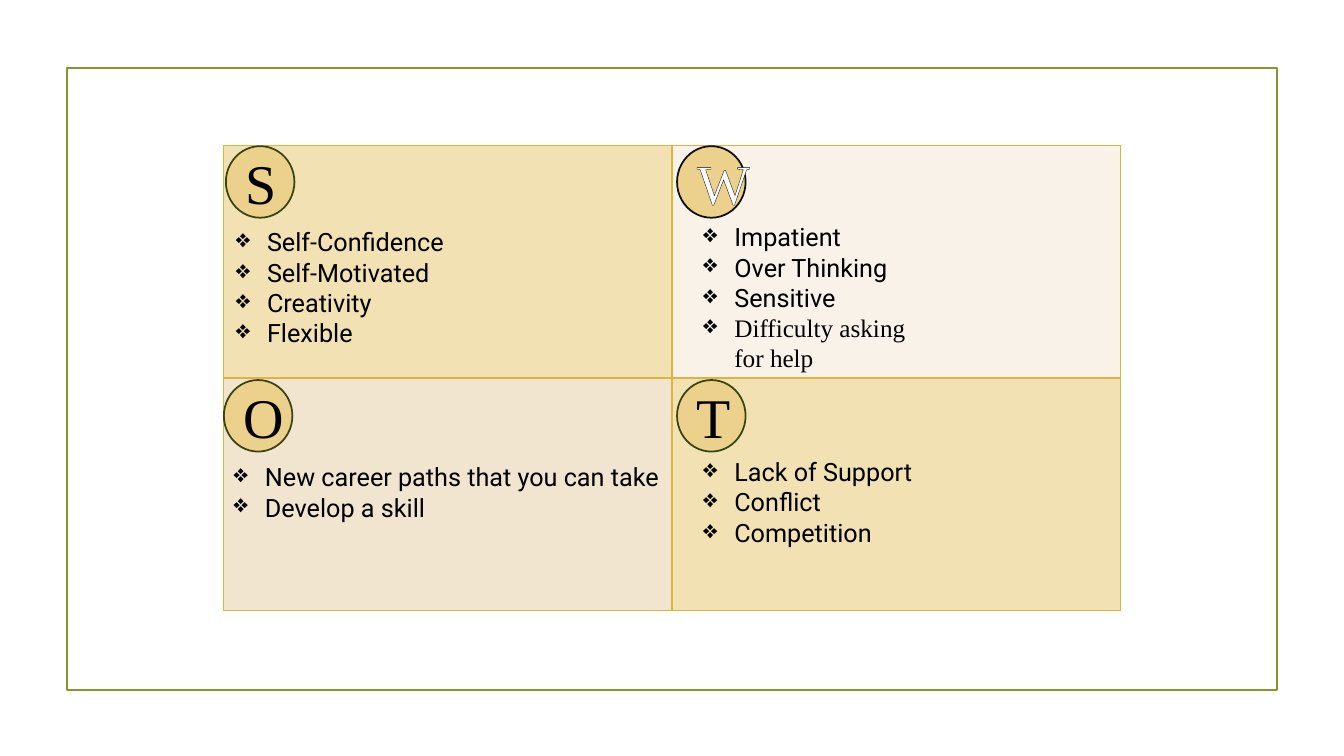
"""Builds a personal SWOT slide: a two by two table with lettered badges and bullet lists."""
from dataclasses import dataclass

from lxml.etree import SubElement
from pptx import Presentation
from pptx.dml.color import RGBColor
from pptx.enum.shapes import MSO_SHAPE as Shape
from pptx.enum.text import MSO_ANCHOR as Anchor, MSO_AUTO_SIZE as AutoSize, PP_ALIGN as Align
from pptx.oxml import parse_xml
from pptx.oxml.ns import nsdecls, qn
from pptx.util import Emu, Inches, Pt


@dataclass(frozen=True)
class Theme:
    frame: str = "83992A"
    border: str = "DEB340"
    badge: str = "EBD18C"
    badge_line: str = "394312"
    ink: str = "0D0D0D"
    black: str = "000000"
    white: str = "FFFFFF"
    gold: str = "F2E1B3"
    cream: str = "F9F2E8"
    sand: str = "F2E5CF"
    sans: str = "Roboto"
    serif: str = "Times New Roman"
    letter_size: int = 40
    list_size: int = 18
    line_width: float = 1.25
    border_width: int = 1


@dataclass(frozen=True)
class Grid:
    left: float = 2.22
    top: float = 1.44
    column_width: float = 4.445
    row_height: float = 2.31

    def spot(self, column: int, row: int, shift: tuple[float, float]) -> tuple[Emu, Emu]:
        """Return the point lying at a shift from a cell's top left corner."""
        return (Inches(self.left + column * self.column_width + shift[0]),
                Inches(self.top + row * self.row_height + shift[1]))


@dataclass(frozen=True)
class Note:
    text: str
    font: str = Theme.sans


@dataclass(frozen=True)
class Quadrant:
    letter: str
    column: int
    row: int
    fill: str
    badge_shift: tuple[float, float]
    list_shift: tuple[float, float]
    list_size: tuple[float, float]
    notes: tuple[Note, ...]
    letter_color: str = Theme.black
    badge_line: str = Theme.badge_line


THEME = Theme()
GRID = Grid()
QUADRANTS = (
    Quadrant("S", 0, 0, THEME.gold, (0.02, 0.01), (0.02, 0.76), (2.38, 1.31),
             (Note("Self-Confidence"), Note("Self-Motivated"), Note("Creativity"), Note("Flexible"))),
    Quadrant("W", 1, 0, THEME.cream, (0.05, 0.01), (0.21, 0.71), (2.38, 1.62),
             (Note("Impatient"), Note("Over Thinking"), Note("Sensitive"),
              Note("Difficulty asking for help", THEME.serif)),
             THEME.white, THEME.ink),
    Quadrant("O", 0, 1, THEME.sand, (0, 0.02), (0, 0.78), (4.44, 0.71),
             (Note("New career paths that you can take"), Note("Develop a skill"))),
    Quadrant("T", 1, 1, THEME.gold, (0.05, 0.02), (0.21, 0.73), (2.38, 1.01),
             (Note("Lack of Support"), Note("Conflict"), Note("Competition"))),
)


def rgb(value: str) -> RGBColor:
    """Turn a hexadecimal string into a colour."""
    return RGBColor.from_string(value)


def style_line(shape, color: str) -> None:
    """Give a shape its outline and take away its shadow."""
    shape.shadow.inherit = False
    shape.line.color.rgb = rgb(color)
    shape.line.width = Pt(THEME.line_width)


def add_span(para, text: str, font: str, size: int, color: str):
    """Add one formatted run to a paragraph."""
    span = para.add_run()
    span.text = text
    span.font.name = font
    span.font.size = Pt(size)
    span.font.color.rgb = rgb(color)
    return span


def add_frame(page, width: Emu, height: Emu) -> None:
    """Draw the outlined frame centred on the slide."""
    frame = page.shapes.add_shape(Shape.RECTANGLE, int(width * 0.05), int(height * 0.09),
                                  int(width * 0.9), int(height * 0.823))
    frame.fill.background()
    style_line(frame, THEME.frame)


def add_board(page) -> None:
    """Draw the table whose cells back the four quadrants."""
    left, top = GRID.spot(0, 0, (0, 0))
    board = page.shapes.add_table(2, 2, left, top, Inches(2 * GRID.column_width),
                                  Inches(2 * GRID.row_height)).table
    for quadrant in QUADRANTS:
        cell = board.cell(quadrant.row, quadrant.column)
        cell.fill.solid()
        cell.fill.fore_color.rgb = rgb(quadrant.fill)
        properties = cell._tc.get_or_add_tcPr()
        for index, side in enumerate(("lnL", "lnR", "lnT", "lnB")):
            properties.insert(index, parse_xml(
                f'<a:{side} {nsdecls("a")} w="{Pt(THEME.border_width)}"><a:solidFill>'
                f'<a:srgbClr val="{THEME.border}"/></a:solidFill></a:{side}>'))


def add_badge(page, quadrant: Quadrant) -> None:
    """Draw a round badge holding the quadrant's outlined letter."""
    left, top = GRID.spot(quadrant.column, quadrant.row, quadrant.badge_shift)
    badge = page.shapes.add_shape(Shape.OVAL, left, top, Inches(0.68), Inches(0.71))
    badge.fill.solid()
    badge.fill.fore_color.rgb = rgb(THEME.badge)
    style_line(badge, quadrant.badge_line)
    badge.text_frame.vertical_anchor = Anchor.MIDDLE
    para = badge.text_frame.paragraphs[0]
    para.alignment = Align.CENTER
    span = add_span(para, quadrant.letter, THEME.serif, THEME.letter_size, quadrant.letter_color)
    span.font._element.insert(0, parse_xml(
        f'<a:ln {nsdecls("a")} w="0"><a:solidFill><a:srgbClr val="{THEME.ink}"/></a:solidFill></a:ln>'))


def add_notes(page, quadrant: Quadrant) -> None:
    """Write the quadrant's bulleted list."""
    left, top = GRID.spot(quadrant.column, quadrant.row, quadrant.list_shift)
    width, height = quadrant.list_size
    box = page.shapes.add_textbox(left, top, Inches(width), Inches(height))
    frame = box.text_frame
    frame.word_wrap = True
    frame.auto_size = AutoSize.SHAPE_TO_FIT_TEXT
    for index, note in enumerate(quadrant.notes):
        para = frame.add_paragraph() if index else frame.paragraphs[0]
        properties = para._p.get_or_add_pPr()
        properties.set("marL", str(Inches(0.31)))
        properties.set("indent", str(Inches(-0.31)))
        SubElement(properties, qn("a:buChar")).set("char", "❖")
        add_span(para, note.text, note.font, THEME.list_size, THEME.black)


def main() -> None:
    """Build and save the deck."""
    deck = Presentation()
    deck.slide_width, deck.slide_height = Inches(13.33), Inches(7.5)
    page = deck.slides.add_slide(deck.slide_layouts[6])
    add_frame(page, deck.slide_width, deck.slide_height)
    add_board(page)
    for quadrant in QUADRANTS:
        add_badge(page, quadrant)
        add_notes(page, quadrant)
    deck.save("out.pptx")


if __name__ == "__main__":
    main()
